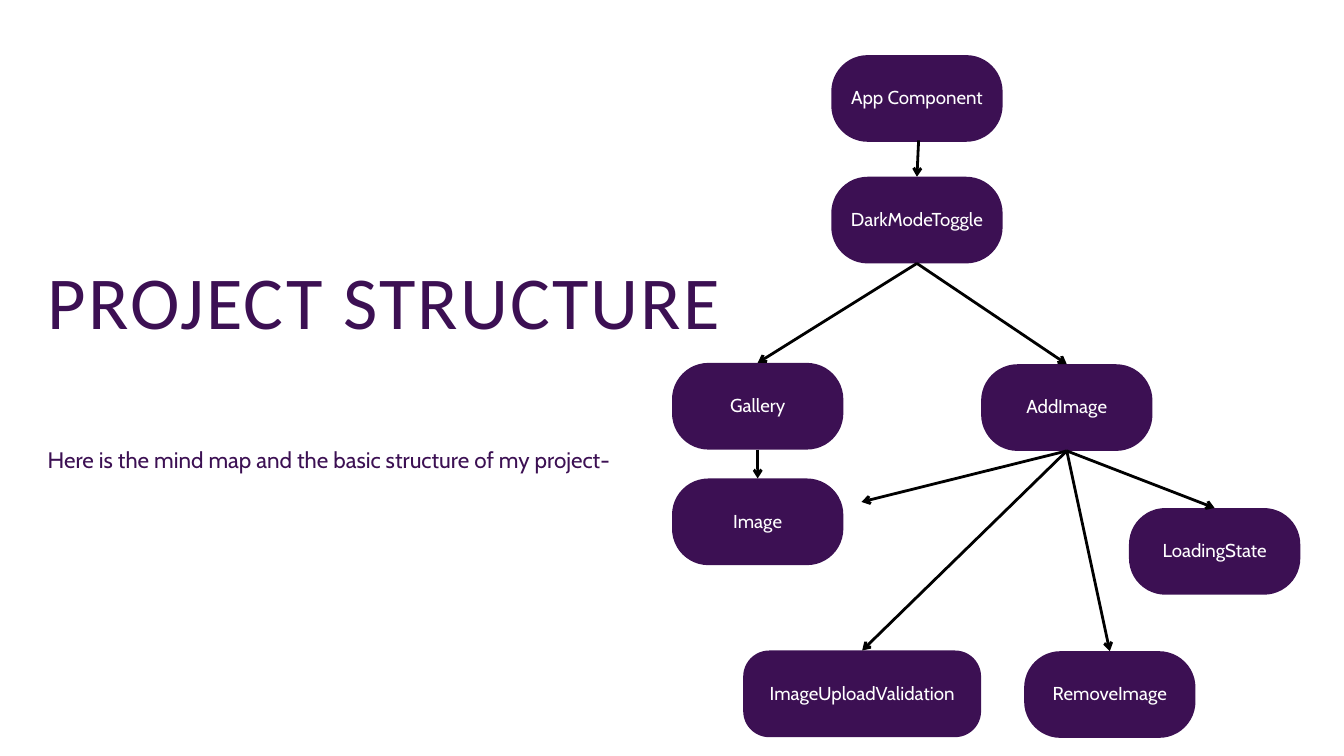
from dataclasses import dataclass

import pptx
import pptx.dml.color
import pptx.enum.shapes
import pptx.enum.text
import pptx.oxml.ns
import pptx.util
from lxml import etree
from pptx.util import Inches

COLORS = {"purple": "3C1053", "white": "FFFFFF", "black": "000000"}
NODE_HEIGHT = 1.29
BOTTOM, TOP = 2, 0


@dataclass
class Node:
    label: str
    left: float
    top: float
    width: float = 2.55
    corner: float = 0.42


@dataclass
class Arrow:
    """Ends are node labels, or (x, y) points where the arrow is loose."""
    start: str | tuple[float, float]
    end: str | tuple[float, float]


NODES = [
    Node("App Component", 12.37, 0.82),
    Node("DarkModeToggle", 12.37, 2.63),
    Node("Gallery", 10, 5.4),
    Node("Image", 10, 7.12),
    Node("AddImage", 14.6, 5.42),
    Node("ImageUploadValidation", 11.06, 9.68, width=3.54, corner=0.3),
    Node("RemoveImage", 15.24, 9.69),
    Node("LoadingState", 16.8, 7.56),
]

ARROWS = [
    Arrow((13.67, 2.09), "DarkModeToggle"),
    Arrow("DarkModeToggle", "Gallery"),
    Arrow("DarkModeToggle", "AddImage"),
    Arrow("Gallery", "Image"),
    Arrow("AddImage", "ImageUploadValidation"),
    Arrow("AddImage", "LoadingState"),
    Arrow("AddImage", "RemoveImage"),
    Arrow("AddImage", (12.82, 7.47)),
]


def rgb(name: str) -> pptx.dml.color.RGBColor:
    return pptx.dml.color.RGBColor.from_string(COLORS[name])


def write(frame, text: str, font: str, size: float, leading: float, color: str,
          align=pptx.enum.text.PP_ALIGN.LEFT,
          anchor=pptx.enum.text.MSO_ANCHOR.TOP,
          margins: tuple[float, float, float, float] = (0, 0, 0, 0)):
    """Fill a text frame with one paragraph; margins run left, top, right, bottom."""
    frame.word_wrap = True
    frame.auto_size = pptx.enum.text.MSO_AUTO_SIZE.NONE
    frame.vertical_anchor = anchor
    (frame.margin_left, frame.margin_top,
     frame.margin_right, frame.margin_bottom) = map(Inches, margins)
    paragraph = frame.paragraphs[0]
    paragraph.text = text
    paragraph.alignment = align
    paragraph.line_spacing = pptx.util.Pt(leading)
    paragraph.space_before = pptx.util.Pt(0)
    paragraph.font.name = font
    paragraph.font.size = pptx.util.Pt(size)
    paragraph.font.color.rgb = rgb(color)
    return paragraph


def add_title(slide) -> None:
    title = slide.shapes.title
    title.left, title.top = Inches(0.71), Inches(3.68)
    title.width, title.height = Inches(10.88), Inches(2.86)
    paragraph = write(title.text_frame, "PROJECT STRUCTURE", "Calibri", 80, 104, "purple")
    paragraph.runs[0].font._element.set("spc", "220")


def add_intro(slide) -> None:
    intro = slide.shapes.add_textbox(Inches(0.71), Inches(6.57), Inches(8.88), Inches(0.9))
    write(intro.text_frame, "Here is the mind map and the basic structure of my project-",
          "Cabin", 24, 33.6, "purple")


def add_node(slide, node: Node):
    box = slide.shapes.add_shape(
        pptx.enum.shapes.MSO_SHAPE.ROUNDED_RECTANGLE,
        Inches(node.left), Inches(node.top), Inches(node.width), Inches(NODE_HEIGHT))
    box.adjustments[0] = node.corner
    box.shadow.inherit = False
    box.fill.solid()
    box.fill.fore_color.rgb = rgb("purple")
    box.line.fill.background()
    write(box.text_frame, node.label, "Cabin", 20, 26, "white",
          pptx.enum.text.PP_ALIGN.CENTER, pptx.enum.text.MSO_ANCHOR.MIDDLE,
          margins=(0.06, 0, 0.06, 0.06))
    return box


def add_arrow(slide, arrow: Arrow, boxes: dict) -> None:
    """Run from the bottom of the start node to the top of the end node."""
    start = (0, 0) if arrow.start in boxes else arrow.start
    end = (0, 0) if arrow.end in boxes else arrow.end
    line = slide.shapes.add_connector(
        pptx.enum.shapes.MSO_CONNECTOR.STRAIGHT, *map(Inches, start + end))
    if arrow.start in boxes:
        line.begin_connect(boxes[arrow.start], BOTTOM)
    if arrow.end in boxes:
        line.end_connect(boxes[arrow.end], TOP)
    line.line.color.rgb = rgb("black")
    line.line.width = pptx.util.Pt(3)
    qn = pptx.oxml.ns.qn
    etree.SubElement(line.line._get_or_add_ln(), qn("a:tailEnd"), type="arrow")
    etree.SubElement(line._element.spPr, qn("a:effectLst"))


def main() -> None:
    deck = pptx.Presentation()
    deck.slide_width, deck.slide_height = Inches(20), Inches(11.25)
    slide = deck.slides.add_slide(deck.slide_layouts.get_by_name("Title Only"))
    slide.background.fill.solid()
    slide.background.fill.fore_color.rgb = rgb("white")
    add_title(slide)
    add_intro(slide)
    boxes = {node.label: add_node(slide, node) for node in NODES}
    for arrow in ARROWS:
        add_arrow(slide, arrow, boxes)
    deck.save("out.pptx")


if __name__ == "__main__":
    main()
